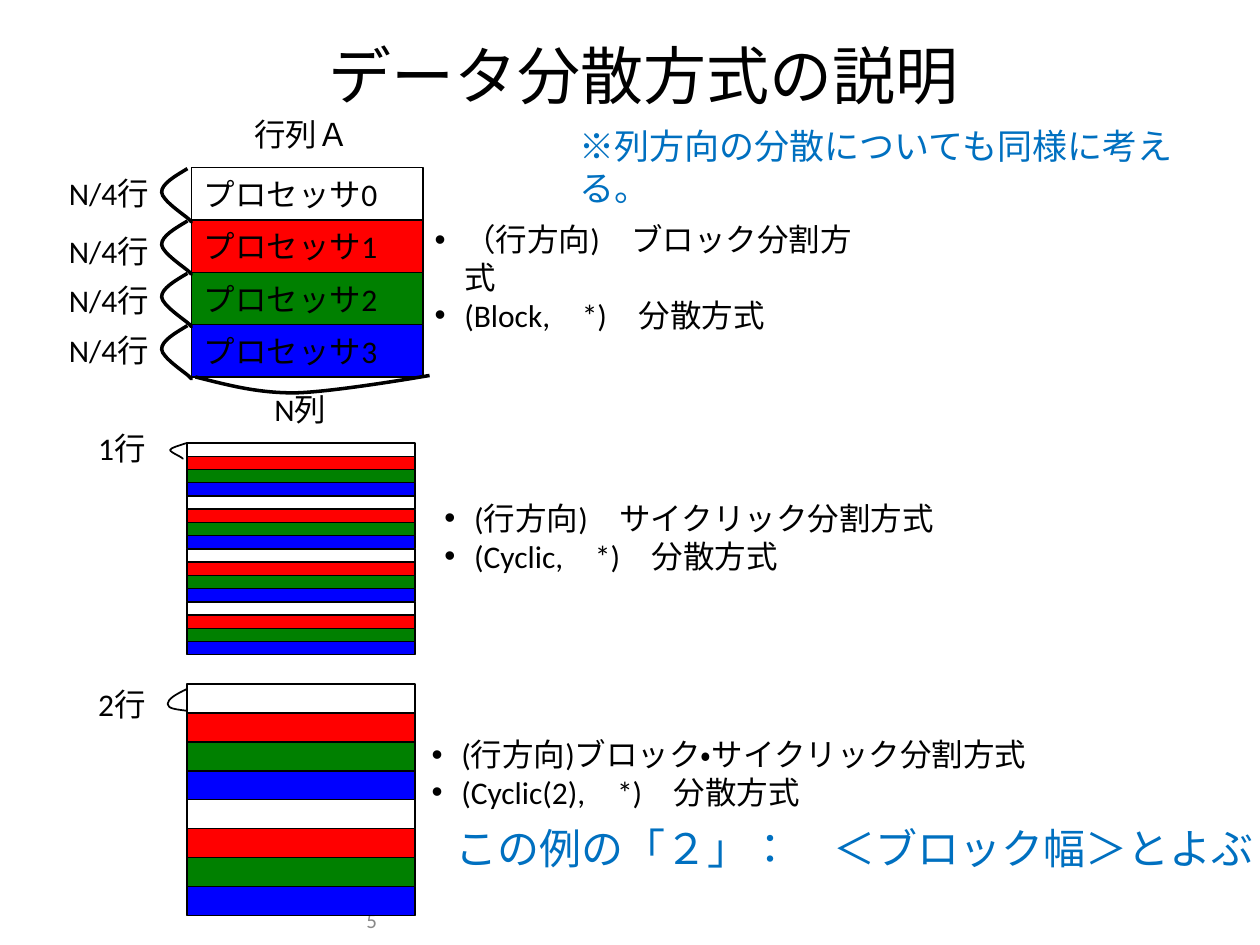
from lxml.etree import SubElement
from pptx import Presentation
from pptx.dml.color import RGBColor
from pptx.enum.lang import MSO_LANGUAGE_ID as Lang
from pptx.enum.shapes import MSO_SHAPE as Kind
from pptx.enum.text import MSO_ANCHOR as Anchor, PP_ALIGN as Align
from pptx.oxml.ns import qn
from pptx.util import Cm, Pt

BLACK = RGBColor(0, 0, 0)
GREY = RGBColor(0x89, 0x89, 0x89)
SKY = RGBColor(0, 0x70, 0xC0)
RED = RGBColor(0xFF, 0, 0)
GREEN = RGBColor(0, 0x80, 0)
BLUE = RGBColor(0, 0, 0xFF)
OWNERS = (None, RED, GREEN, BLUE)
FONT = "Calibri"


def style(par, size=18, color=BLACK, align=Align.LEFT):
    par.alignment = align
    par.font.name = FONT
    par.font.size = Pt(size)
    par.font.color.rgb = color
    for run in par.runs:
        run.font.language_id = Lang.JAPANESE


def add_text(shapes, box, lines, size=18, color=BLACK, align=Align.LEFT,
             anchor=Anchor.TOP):
    frame = shapes.add_textbox(*map(Cm, box)).text_frame
    frame.word_wrap = True
    frame.vertical_anchor = anchor
    frame.text = "\n".join(lines)
    for par in frame.paragraphs:
        style(par, size, color, align)
    return frame


def add_list(shapes, box, lines):
    for par in add_text(shapes, box, lines).paragraphs:
        props = par._p.get_or_add_pPr()
        props.set("marL", str(Cm(0.6)))
        props.set("indent", str(-Cm(0.6)))
        font = props.find(qn("a:defRPr"))
        mark = SubElement(props, qn("a:buFont"), typeface="Arial")
        sign = SubElement(props, qn("a:buChar"), char="•")
        font.addprevious(mark)
        font.addprevious(sign)


def add_brace(shapes, left, top, points, width):
    spots = [(Cm(left + x), Cm(top + y)) for x, y in points]
    pen = shapes.build_freeform(*spots[0], scale=1.0)
    pen.add_line_segments(spots[1:], close=False)
    brace = pen.convert_to_shape()
    route = brace._element.find(".//" + qn("a:path"))
    lines = route.findall(qn("a:lnTo"))
    for i in range(0, len(lines), 3):
        curve = SubElement(route, qn("a:cubicBezTo"))
        for line in lines[i:i + 3]:
            curve.append(line[0])
            route.remove(line)
    brace.shadow.inherit = False
    brace.fill.background()
    brace.line.color.rgb = BLACK
    brace.line.width = Pt(width)


def add_rows(shapes, box, count):
    left, top, width, height = box
    step = height / count
    rows = []
    for i in range(count):
        row = shapes.add_shape(Kind.RECTANGLE, Cm(left), Cm(top + i * step),
                               Cm(width), Cm(step))
        row.shadow.inherit = False
        color = OWNERS[i % len(OWNERS)]
        if color is None:
            row.fill.background()
        else:
            row.fill.solid()
            row.fill.fore_color.rgb = color
        row.line.color.rgb = BLACK
        row.line.width = Pt(0.75)
        rows.append(row)
    return rows


def add_block(shapes, box):
    left, top, width, height = box
    step = height / 4
    side = [(-0.08, 0.02), (-0.33, 0.17), (-0.61, 0.33), (-0.6, 0.5),
            (-0.59, 0.66), (-0.15, 0.95), (-0.05, 1.04),
            (0.03, 1.13), (0, 1.09), (-0.05, 1.04)]
    base = [(0.08, 0), (0.69, 0.15), (1.32, 0.33), (2.11, 0.32),
            (2.9, 0.3), (4.8, -0.03), (4.8, -0.03)]
    drops = (0, 0.12, 0.05, 0)
    add_text(shapes, (left + 1.02, top - 1.18, 2.6, 1.02), ["行列Ａ"])
    for i, (row, drop) in enumerate(zip(add_rows(shapes, box, 4), drops)):
        frame = row.text_frame
        frame.word_wrap = False
        frame.vertical_anchor = Anchor.MIDDLE
        frame.text = f"プロセッサ{i}"
        style(frame.paragraphs[0])
        y = top + i * step
        group = shapes.add_group_shape().shapes
        add_brace(group, left, y, side, 2)
        add_text(group, (left - 2.72, y + drop, 2.5, 1.02), ["N/4行"])
    add_brace(shapes, left, top + height, base, 2)
    add_text(shapes, (left + 1.42, top + height + 0.13, 1.9, 1.02), ["N列"])
    add_list(shapes, (left + 4.65, top + 0.94, 9.47, 1.78),
             ["（行方向)　ブロック分割方式", "(Block,　*)　分散方式"])


def add_cyclic(shapes, box):
    left, top = box[:2]
    mark = [(0, 0), (-0.15, 0.05), (-0.33, 0.1), (-0.34, 0.14),
            (-0.34, 0.2), (-0.04, 0.3), (-0.09, 0.33)]
    add_rows(shapes, box, 16)
    add_brace(shapes, left, top, mark, 1)
    add_text(shapes, (left - 2.04, top - 0.4, 1.85, 1.02), ["1行"])
    add_list(shapes, (left + 4.94, top + 1, 10.46, 1.78),
             ["(行方向)　サイクリック分割方式", "(Cyclic,　*)　分散方式"])


def add_mixed(shapes, box):
    left, top = box[:2]
    mark = [(0, 0.1), (-0.21, 0.2), (-0.39, 0.3), (-0.39, 0.4),
            (-0.39, 0.5), (-0.21, 0.51), (0, 0.54)]
    add_rows(shapes, box, 8)
    add_brace(shapes, left, top, mark, 1)
    add_text(shapes, (left - 2.04, top - 0.1, 1.85, 1.02), ["2行"])
    add_list(shapes, (left + 4.68, top + 0.91, 13.8, 1.78),
             ["(行方向)ブロック・サイクリック分割方式", "(Cyclic(2),　*)　分散方式"])
    add_text(shapes, (left + 5.17, top + 2.67, 16.59, 1.27),
             ["この例の「２」：　＜ブロック幅＞とよぶ"], 24, SKY)


def main():
    deck = Presentation()
    deck.slide_width, deck.slide_height = Cm(25.4), Cm(19.05)
    shapes = deck.slides.add_slide(deck.slide_layouts[6]).shapes
    add_text(shapes, (2.18, 0.6, 21.59, 1.8), ["データ分散方式の説明"], 36,
             align=Align.CENTER, anchor=Anchor.MIDDLE)
    add_text(shapes, (2.34, 18.03, 5.51, 1.02), ["5"], 12, GREY,
             Align.RIGHT, Anchor.MIDDLE)
    add_text(shapes, (11.43, 2.39, 12.8, 1.12),
             ["※列方向の分散についても同様に考える。"], 20, SKY)
    add_block(shapes, (3.86, 3.38, 4.67, 4.22))
    add_cyclic(shapes, (3.77, 8.93, 4.6, 4.27))
    add_mixed(shapes, (3.77, 13.79, 4.6, 4.67))
    deck.save("out.pptx")


if __name__ == "__main__":
    main()
